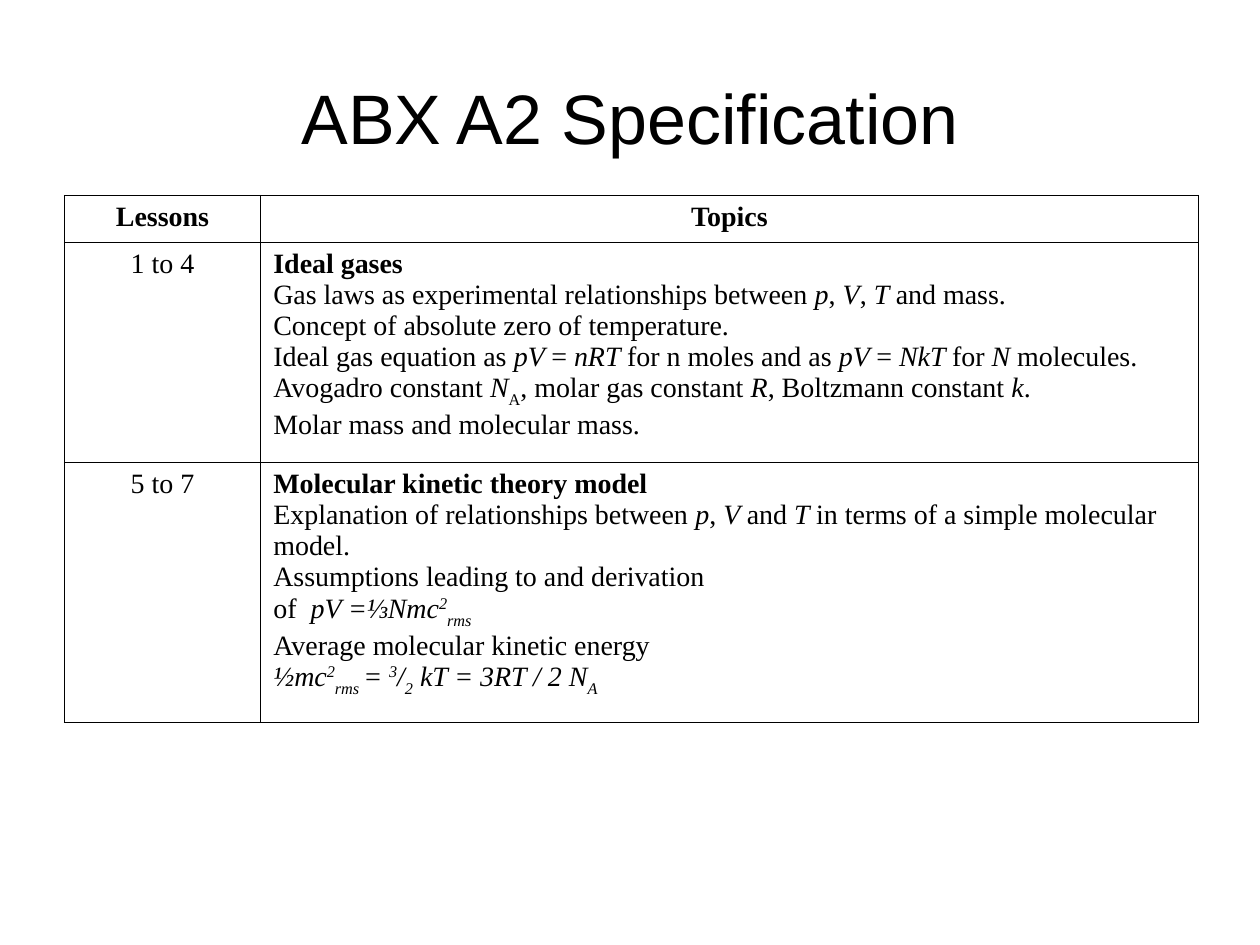
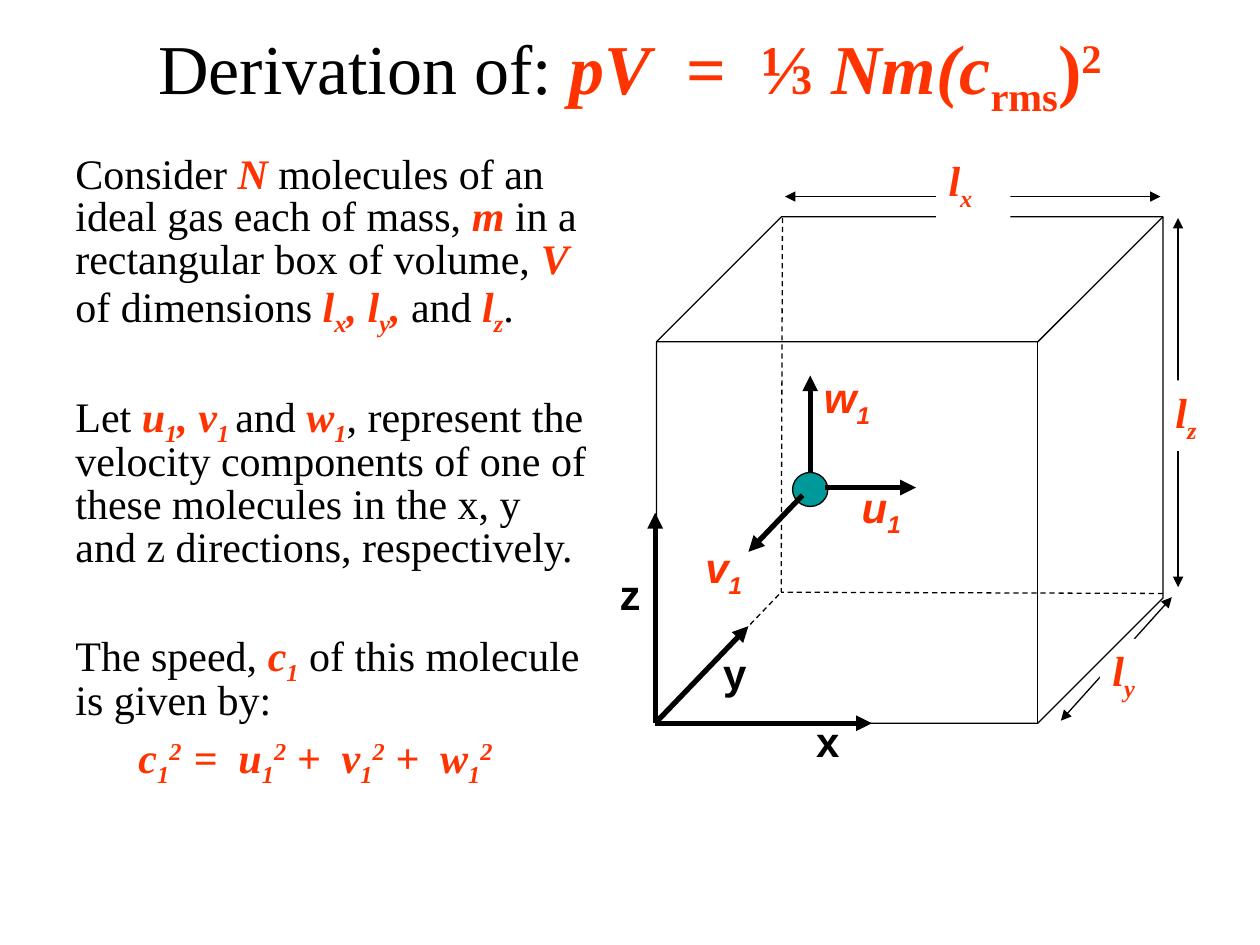
from pptx import Presentation
from pptx.dml.color import RGBColor
from pptx.enum.dml import MSO_LINE
from pptx.enum.shapes import MSO_CONNECTOR, MSO_SHAPE
from pptx.enum.text import MSO_ANCHOR, PP_ALIGN
from pptx.oxml.ns import qn
from pptx.util import Inches, Pt
from lxml.etree import SubElement

COLORS = {"ink": "000000", "red": "FF3300", "teal": "009999", "paper": "FFFFFF"}
SERIF, SANS = "Times New Roman", "Arial"
TITLE_SIZE = 40
# Style letters: b bold, i italic, r red, + superscript, - subscript, _ lower subscript
BASELINES = {"+": 30000, "-": -25000, "_": -30000}


def write(frame, paragraphs, size, font, align=PP_ALIGN.LEFT):
    """Fill a text frame; each paragraph is a list of (text, style letters)."""
    frame.word_wrap = True
    for index, spans in enumerate(paragraphs):
        para = frame.add_paragraph() if index else frame.paragraphs[0]
        para.alignment = align
        for text, style in spans:
            span = para.add_run()
            span.text = text
            span.font.size = Pt(size)
            span.font.name = font
            span.font.bold = "b" in style
            span.font.italic = "i" in style
            color = COLORS["red" if "r" in style else "ink"]
            span.font.color.rgb = RGBColor.from_string(color)
            for letter, offset in BASELINES.items():
                if letter in style:
                    span._r.get_or_add_rPr().set("baseline", str(offset))


def add_line(page, start, end, width=0.75, arrows=(), dashed=False):
    """Draw a line; arrows names the ends (headEnd, tailEnd) that get a triangle."""
    points = [Inches(value) for value in (*start, *end)]
    line = page.shapes.add_connector(MSO_CONNECTOR.STRAIGHT, *points)
    line.line.width = Pt(width)
    line.line.color.rgb = RGBColor.from_string(COLORS["ink"])
    if dashed:
        line.line.dash_style = MSO_LINE.DASH
    for arrow in arrows:
        SubElement(line.line._get_or_add_ln(), qn(f"a:{arrow}")).set("type", "triangle")
    SubElement(line._element.spPr, qn("a:effectLst"))


deck = Presentation()
deck.slide_width, deck.slide_height = Inches(10), Inches(7.5)
blank = deck.slide_layouts[6]

titles = [
    ((0.5, 0.3, 9, 1.25), SANS, [("ABX A2 Specification", "")]),
    ((0.5, 0.18, 9, 0.78), SERIF, [
        ("Derivation of: ", ""), ("pV", "bir"), ("  =  ⅓ ", "br"), ("Nm(c", "bir"),
        ("rms", "br-"), (")", "br"), ("2", "br+")]),
]
pages = []
for place, font, spans in titles:
    page = deck.slides.add_slide(blank)
    box = page.shapes.add_textbox(*map(Inches, place))
    box.text_frame.vertical_anchor = MSO_ANCHOR.MIDDLE
    write(box.text_frame, [spans], TITLE_SIZE, font, PP_ALIGN.CENTER)
    pages.append(page)
spec_page, derivation_page = pages

# Specification table
ideal_gases = [
    [("Ideal gases", "b")],
    [("Gas laws as experimental relationships between ", ""), ("p", "i"), (", ", ""),
     ("V", "i"), (", ", ""), ("T ", "i"), ("and mass.", "")],
    [("Concept of absolute zero of temperature.", "")],
    [("Ideal gas equation as ", ""), ("pV ", "i"), ("= ", ""), ("nRT ", "i"),
     ("for n moles and as ", ""), ("pV ", "i"), ("= ", ""), ("NkT ", "i"),
     ("for ", ""), ("N ", "i"), ("molecules.", "")],
    [("Avogadro constant ", ""), ("N", "i"), ("A", "_"), (", molar gas constant ", ""),
     ("R", "i"), (", Boltzmann constant ", ""), ("k", "i"), (".", "")],
    [("Molar mass and molecular mass.", "")],
]
kinetic_theory = [
    [("Molecular kinetic theory model", "b")],
    [("Explanation of relationships between ", ""), ("p", "i"), (", ", ""), ("V ", "i"),
     ("and ", ""), ("T ", "i"), ("in terms of a simple molecular model.", "")],
    [("Assumptions leading to and derivation", "")],
    [("of  ", ""), ("pV =⅓Nmc", "i"), ("2", "i+"), ("rms", "i_")],
    [("Average molecular kinetic energy", "")],
    [("½mc", "i"), ("2", "i+"), ("rms ", "i_"), ("= ", "i"), ("3", "i+"), ("/", "i"),
     ("2", "i_"), (" kT = 3RT / 2 N", "i"), ("A", "i_")],
]
rows = [
    (0.37, [[("Lessons", "b")]], [[("Topics", "b")]]),
    (1.75, [[("1 to 4", "")]], ideal_gases),
    (2.06, [[("5 to 7", "")]], kinetic_theory),
]
place = map(Inches, (0.51, 1.55, 9, 4.18))
table = spec_page.shapes.add_table(len(rows), 2, *place).table
table.first_row = table.horz_banding = False
table.columns[0].width, table.columns[1].width = Inches(1.56), Inches(7.44)
for row, (height, *contents) in enumerate(rows):
    table.rows[row].height = Inches(height)
    for column, paragraphs in enumerate(contents):
        cell = table.cell(row, column)
        centred = row == 0 or column == 0
        write(cell.text_frame, paragraphs, 16, SERIF,
              PP_ALIGN.CENTER if centred else PP_ALIGN.LEFT)
        properties = cell._tc.get_or_add_tcPr()
        for side in ("lnL", "lnR", "lnT", "lnB"):
            border = SubElement(properties, qn(f"a:{side}"), w=str(Pt(0.45)))
            fill = SubElement(border, qn("a:solidFill"))
            SubElement(fill, qn("a:srgbClr"), val=COLORS["ink"])
        cell.fill.background()

# Explanation beside the box of gas
explanation = [
    [("Consider ", ""), ("N", "bir"), (" molecules of an ideal gas each of mass, ", ""),
     ("m", "bir"), (" in a rectangular box of volume, ", ""), ("V", "bir"),
     (" of dimensions ", ""), ("l", "bir"), ("x", "bir-"), (", l", "bir"),
     ("y", "bir-"), (", ", "bir"), ("and", ""), (" l", "bir"), ("z", "bir-"), (".", "")],
    [("Let ", ""), ("u", "bir"), ("1", "bir-"), (", v", "bir"), ("1 ", "bir-"),
     ("and", ""), (" w", "bir"), ("1", "bir-"),
     (", represent the velocity components of one of these molecules in the x, y "
      "and z directions, respectively.", "")],
    [("The speed, ", ""), ("c", "bir"), ("1", "bir-"),
     (" of this molecule is given by:", "")],
    [("c", "bir"), ("1", "bir-"), ("2  ", "bir+"), ("=  u", "bir"), ("1", "bir-"),
     ("2", "bir+"), (" +  v", "bir"), ("1", "bir-"), ("2", "bir+"), (" +  w", "bir"),
     ("1", "bir-"), ("2", "bir+")],
]
box = derivation_page.shapes.add_textbox(*map(Inches, (0.5, 1.18, 4.29, 5.24)))
write(box.text_frame, explanation, 24, SERIF)
for para, gap in zip(box.text_frame.paragraphs, (0, 35, 35, 6)):
    para.line_spacing = 0.85
    para.space_before = Pt(gap)
equation = box.text_frame.paragraphs[-1]
equation._p.get_or_add_pPr().set("marL", str(Inches(0.5)))

# Box of gas: the x label covers the top edge, the other labels lie behind the cube
hidden_corner = (6.2, 4.7)
dimensions = [
    ("y", (9.3, 4.74), (8.42, 5.72), (8.73, 5.07)),
    ("z", (9.35, 1.73), (9.35, 4.66), (9.23, 3.02)),
    ("x", (6.23, 1.56), (9.21, 1.56), (7.43, 1.18)),
]
for axis, start, end, corner in dimensions:
    if axis == "x":
        cube = derivation_page.shapes.add_shape(
            MSO_SHAPE.CUBE, *map(Inches, (5.21, 1.72, 4.02, 4.02)))
        cube.adjustments[0] = 0.247
        cube.shadow.inherit = False
        cube.fill.background()
        cube.line.width = Pt(0.75)
        cube.line.color.rgb = RGBColor.from_string(COLORS["ink"])
        for visible_corner in ((5.21, 5.73), (6.21, 1.73), (9.23, 4.71)):
            add_line(derivation_page, visible_corner, hidden_corner, dashed=True)
    add_line(derivation_page, start, end, arrows=("headEnd", "tailEnd"))
    label = derivation_page.shapes.add_textbox(*map(Inches, (*corner, 0.59, 0.56)))
    label.fill.solid()
    label.fill.fore_color.rgb = RGBColor.from_string(COLORS["paper"])
    write(label.text_frame, [[("l", "bir"), (axis, "bir-")]], 24, SERIF)

# Molecule, its velocity components and the axes
molecule = derivation_page.shapes.add_shape(
    MSO_SHAPE.OVAL, *map(Inches, (6.29, 3.75, 0.28, 0.27)))
molecule.shadow.inherit = False
molecule.fill.solid()
molecule.fill.fore_color.rgb = RGBColor.from_string(COLORS["teal"])
molecule.line.width = Pt(0.75)
molecule.line.color.rgb = RGBColor.from_string(COLORS["ink"])

origin = (5.2, 5.74)
vectors = [
    ((6.43, 3.75), (6.43, 2.98), (6.44, 2.9, 0.67, 0.56), [("w", "bir"), ("1", "bir-")]),
    ((6.37, 3.93), (5.94, 4.38), (5.5, 4.25, 0.67, 0.56), [("v", "bir"), ("1", "bir-")]),
    ((6.55, 3.87), (7.27, 3.87), (6.74, 3.77, 0.67, 0.56), [("u", "bir"), ("1", "bir-")]),
    (origin, (5.2, 4.07), (4.82, 4.46, 0.37, 0.5), [("z", "b")]),
    (origin, (6.92, 5.74), (6.38, 5.63, 0.37, 0.5), [("x", "b")]),
    (origin, (5.94, 4.97), (5.64, 5.09, 0.37, 0.5), [("y", "b")]),
]
for start, end, place, spans in vectors:
    add_line(derivation_page, start, end, width=3, arrows=("tailEnd",))
    label = derivation_page.shapes.add_textbox(*map(Inches, place))
    write(label.text_frame, [spans], 24, SANS)

deck.save("out.pptx")
